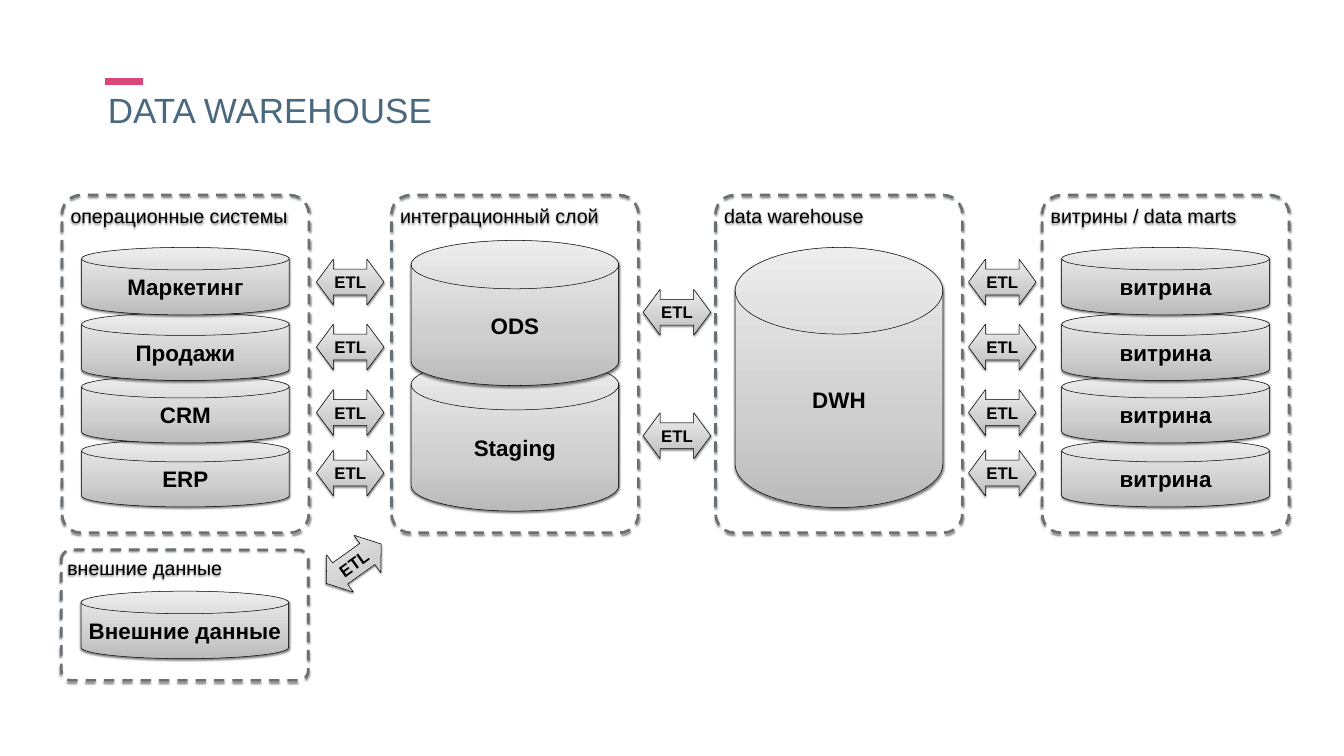
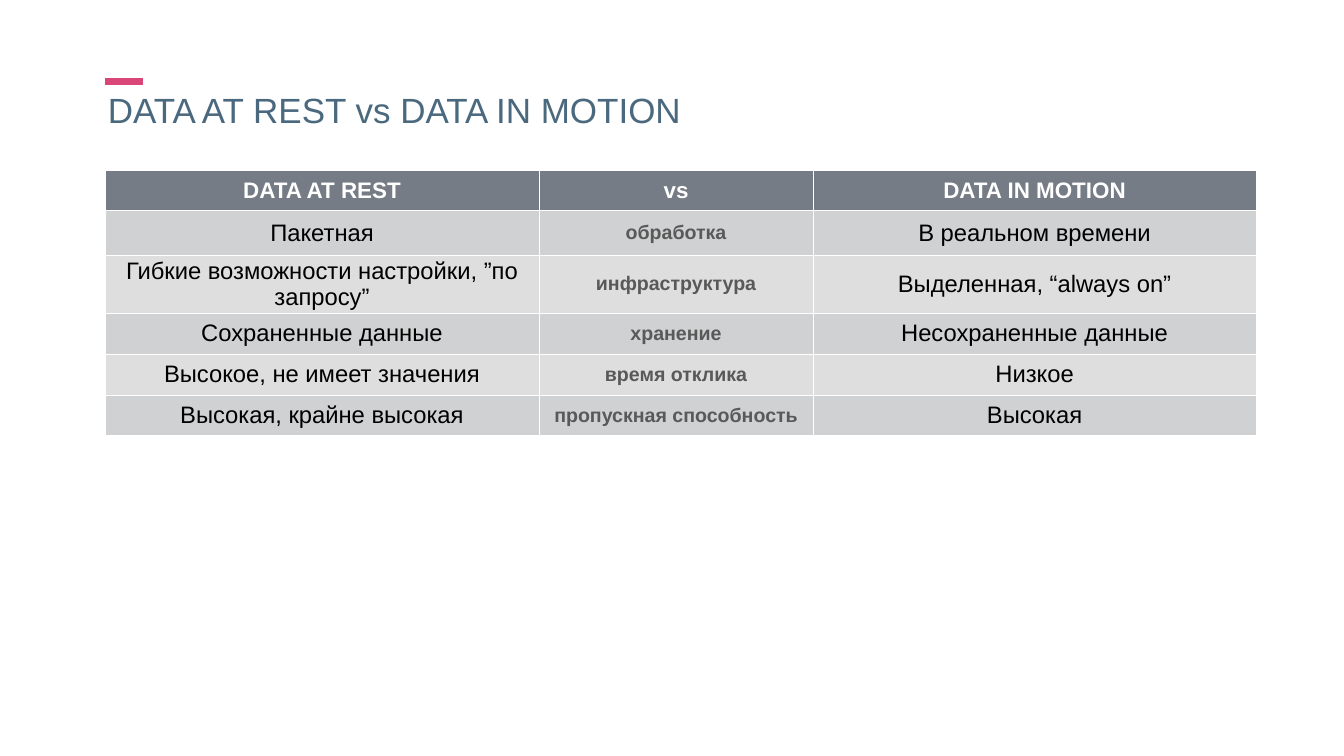
from copy import deepcopy
from lxml import etree
from pptx import Presentation
from pptx.dml.color import RGBColor
from pptx.enum.dml import MSO_LINE
from pptx.enum.shapes import MSO_CONNECTOR, MSO_SHAPE
from pptx.enum.text import MSO_ANCHOR, MSO_AUTO_SIZE, PP_ALIGN
from pptx.oxml.ns import qn
from pptx.util import Inches, Pt

DISK = MSO_SHAPE.FLOWCHART_MAGNETIC_DISK
ARROW = MSO_SHAPE.LEFT_RIGHT_ARROW
ROUND = MSO_SHAPE.ROUNDED_RECTANGLE
STRAIGHT = MSO_CONNECTOR.STRAIGHT
DASH = MSO_LINE.DASH
TOP, MIDDLE = MSO_ANCHOR.TOP, MSO_ANCHOR.MIDDLE
LEFT, CENTER = PP_ALIGN.LEFT, PP_ALIGN.CENTER
FIXED = MSO_AUTO_SIZE.NONE

WIDTH, HEIGHT = Inches(26.67), Inches(15)
FONT = "Arial"
BLACK, WHITE, GRAY = "000000", "FFFFFF", "595959"
BLUE, PINK, EDGE, HEAD = "4A687E", "DA4678", "686F75", "767C85"
BANDS = ("D0D1D2", "DEDEDF")
METAL = ((0, "BABABA"), (0.35, "CFCFCF"), (1, "EDEDED"))

MARGIN = 7.8
FRAMES = (4.61, 29.13, 53.24, 77.54)
FRAME_TOP, FRAME_W, FRAME_H = 25.8, 18.37, 44.67
DISK_W, DISK_H = 15.45, 8.93
ARROW_W, ARROW_H = 5.02, 6.07
STACK = (6.93, 15.6, 23.87, 32.33)
FLOWS = (8.47, 17.07, 25.73, 33.73)

ROWS = (
    ("DATA AT REST", "vs", "DATA IN MOTION"),
    ("Пакетная", "обработка", "В реальном времени"),
    ("Гибкие возможности настройки, ”по запросу”", "инфраструктура",
     "Выделенная, “always on”"),
    ("Сохраненные данные", "хранение", "Несохраненные данные"),
    ("Высокое, не имеет значения", "время отклика", "Низкое"),
    ("Высокая, крайне высокая", "пропускная способность", "Высокая"),
)


def rgb(code):
    """Turn a hex string into a colour."""
    return RGBColor.from_string(code)


def across(cols):
    """Turn hundredths of the slide width into a length."""
    return round(WIDTH * cols / 100)


def down(rows):
    """Turn hundredths of the slide height into a length."""
    return round(HEIGHT * rows / 100)


def place(box):
    """Turn a grid box into left, top, width and height."""
    x, y, w, h = box
    return across(x), down(y), across(w), down(h)


def write(frame, text, size, color=BLACK, bold=False, align=CENTER):
    """Set one formatted paragraph in a text frame."""
    frame.text = text
    para = frame.paragraphs[0]
    para.alignment = align
    for run in para.runs:
        font = run.font
        font.name, font.size, font.bold = FONT, Pt(size), bold
        font.color.rgb = rgb(color)


def inset(frame, anchor):
    """Give a text frame its wrap, anchor and narrow margins."""
    frame.word_wrap = True
    frame.vertical_anchor = anchor
    frame.margin_left = frame.margin_right = Inches(0.06)
    frame.margin_top = frame.margin_bottom = Inches(0.06)


def shade(shape):
    """Give a shape a soft shadow below it."""
    shape.shadow.inherit = False
    effects = shape.element.spPr.find(qn("a:effectLst"))
    outer = etree.SubElement(effects, qn("a:outerShdw"), blurRad="38100",
                             dist="25400", dir="5400000", rotWithShape="0")
    color = etree.SubElement(outer, qn("a:srgbClr"), val=BLACK)
    etree.SubElement(color, qn("a:alpha"), val="50000")


def metal(shape):
    """Fill a shape with the gray gradient, dark at the bottom."""
    fill = shape.fill
    fill.gradient()
    fill.gradient_angle = 90
    stops = next(shape.element.spPr.iter(qn("a:gsLst")))
    stops.append(deepcopy(stops[0]))
    for stop, (spot, color) in zip(fill.gradient_stops, METAL):
        stop.position = spot
        stop.color.rgb = rgb(color)


def solid(slide, kind, box, text, size):
    """Add a metal shape with a bold centred label."""
    shape = slide.shapes.add_shape(kind, *place(box))
    metal(shape)
    shape.line.color.rgb = rgb(BLACK)
    shape.line.width = Pt(0.75)
    shade(shape)
    inset(shape.text_frame, MIDDLE)
    write(shape.text_frame, text, size, bold=True)
    return shape


def flow(slide, x, y):
    """Add one ETL arrow."""
    arrow = solid(slide, ARROW, (x, y, ARROW_W, ARROW_H), "ETL", 24)
    arrow.adjustments[0], arrow.adjustments[1] = 0.565, 0.37
    return arrow


def layer(slide, box, label, disks):
    """Add a dashed frame and its disks, given as name, top and height."""
    x, y, w, _ = box
    frame = slide.shapes.add_shape(ROUND, *place(box))
    frame.adjustments[0] = 0.077
    frame.fill.background()
    frame.line.color.rgb = rgb(EDGE)
    frame.line.width = Pt(3.75)
    frame.line.dash_style = DASH
    shade(frame)
    inset(frame.text_frame, TOP)
    write(frame.text_frame, label, 28, align=LEFT)
    for name, top, high in reversed(disks):
        spot = (x + (w - DISK_W) / 2, y + top, DISK_W, high)
        solid(slide, DISK, spot, name, 32)


def stack(names):
    """Pair names with the tops of four equal disks."""
    return [(name, top, DISK_H) for name, top in zip(names, STACK)]


def start(deck, text):
    """Add a slide with its title and the pink bar above it."""
    slide = deck.slides.add_slide(deck.slide_layouts[5])
    title = slide.shapes.title
    title.left, title.top, title.width, title.height = place(
        (MARGIN, 12.33, 82.68, 5.27))
    frame = title.text_frame
    inset(frame, TOP)
    frame.auto_size = FIXED
    write(frame, text, 50, BLUE, align=LEFT)
    frame.paragraphs[0].line_spacing = 0.8
    bar = slide.shapes.add_connector(
        STRAIGHT, across(MARGIN), down(10.8), across(10.65), down(10.8))
    bar.line.color.rgb = rgb(PINK)
    bar.line.width = Pt(11)
    etree.SubElement(bar.element.spPr, qn("a:effectLst"))
    return slide


def house(deck):
    """Build the slide that shows the layers of a warehouse."""
    slide = start(deck, "DATA WAREHOUSE")
    layers = (
        ("операционные системы",
         stack(("Маркетинг", "Продажи", "CRM", "ERP"))),
        ("интеграционный слой",
         [("ODS", 6, 19.2), ("Staging", 21.73, 20.07)]),
        ("data warehouse", [("DWH", 6.93, 34.4)]),
        ("витрины / data marts", stack(["витрина"] * 4)),
    )
    for x, (label, disks) in zip(FRAMES, layers):
        layer(slide, (x, FRAME_TOP, FRAME_W, FRAME_H), label, disks)
    layer(slide, (4.57, 72.73, FRAME_W, 17.27), "внешние данные",
          [("Внешние данные", 5.47, DISK_H)])
    gaps = zip(FRAMES, FRAMES[1:], (FLOWS, (12.47, 28.8), FLOWS))
    for left, right, tops in gaps:
        for top in tops:
            mid = (left + FRAME_W + right) / 2
            flow(slide, mid - ARROW_W / 2, FRAME_TOP + top)
    flow(slide, 23.81, 71.53).rotation = 324.4


def border(cell):
    """Draw thin white lines on all sides of a cell."""
    props = cell._tc.get_or_add_tcPr()
    for side in ("lnL", "lnR", "lnT", "lnB"):
        line = etree.SubElement(props, qn("a:" + side), w="12700")
        fill = etree.SubElement(line, qn("a:solidFill"))
        etree.SubElement(fill, qn("a:srgbClr"), val=WHITE)


def grid(slide, x, y, cols, rows):
    """Add the comparison table at a grid point."""
    box = (x, y, sum(cols), sum(rows))
    table = slide.shapes.add_table(
        len(rows), len(cols), *place(box)).table
    for col, wide in zip(table.columns, cols):
        col.width = across(wide)
    for i, (row, high) in enumerate(zip(table.rows, rows)):
        row.height = down(high)
        for j, cell in enumerate(row.cells):
            border(cell)
            cell.fill.solid()
            cell.fill.fore_color.rgb = rgb(BANDS[(i - 1) % 2] if i else HEAD)
            cell.vertical_anchor = MIDDLE
            if i == 0:
                style = (32, WHITE, True)
            elif j == 1:
                style = (28, GRAY, True)
            else:
                style = (34, BLACK, False)
            write(cell.text_frame, ROWS[i][j], *style)


def versus(deck):
    """Build the slide that compares data at rest and in motion."""
    slide = start(deck, "DATA AT REST vs DATA IN MOTION")
    grid(slide, MARGIN, 22.47, (32.32, 20.36, 33),
         (5.4, 5.87, 5.4, 5.4, 5.4, 5.4))


def main():
    """Build and save the deck."""
    deck = Presentation()
    deck.slide_width, deck.slide_height = WIDTH, HEIGHT
    house(deck)
    versus(deck)
    deck.save("out.pptx")


if __name__ == "__main__":
    main()
